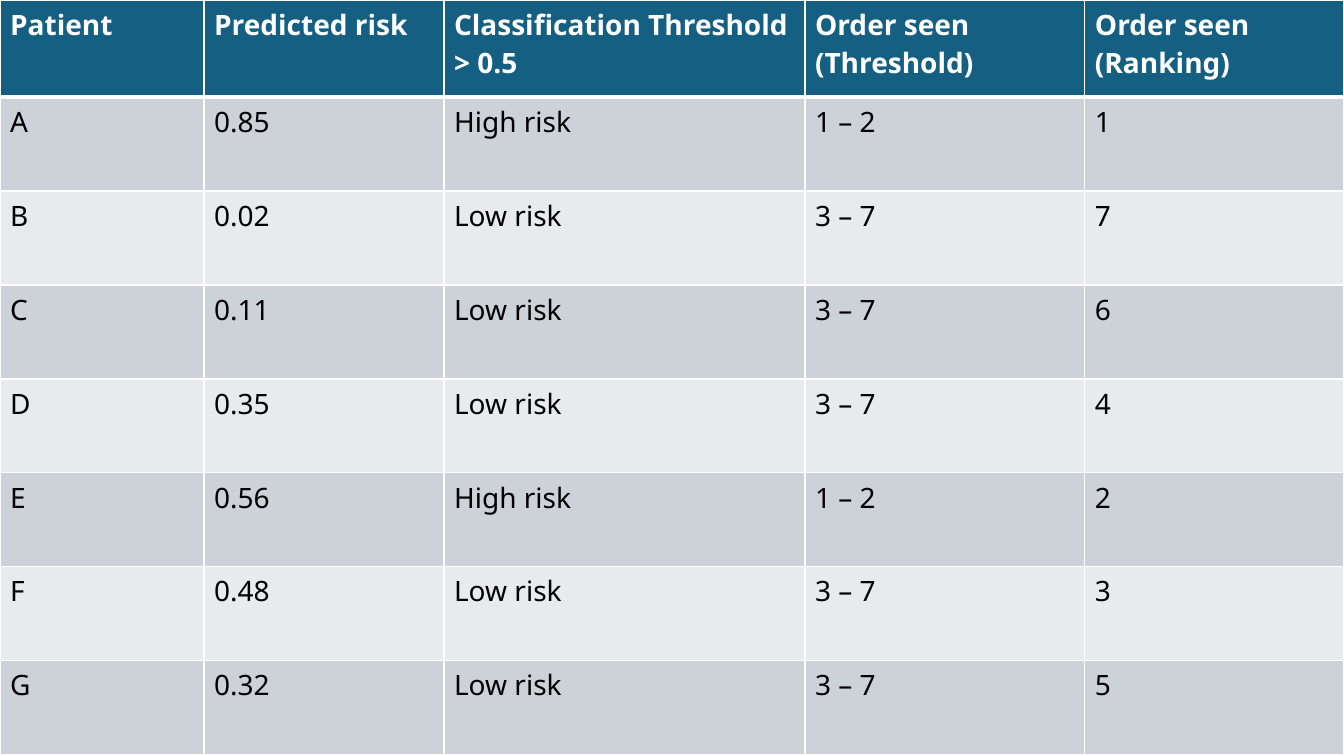
import dataclasses

import pptx
import pptx.dml.color
import pptx.oxml
import pptx.oxml.ns
import pptx.util

EMU_PER_PX = 914400 / 100.8
SLIDE_WIDTH, SLIDE_HEIGHT = 1344, 756
COLUMN_WIDTHS = [204, 240, 361, 280, 259]
HEADER_HEIGHT, BODY_HEIGHT = 97, 94

HEADINGS = [
    "Patient",
    "Predicted risk",
    "Classification Threshold > 0.5",
    "Order seen (Threshold)",
    "Order seen (Ranking)",
]
PATIENTS = [
    ("A", "0.85", "High risk", "1 – 2", "1"),
    ("B", "0.02", "Low risk", "3 – 7", "7"),
    ("C", "0.11", "Low risk", "3 – 7", "6"),
    ("D", "0.35", "Low risk", "3 – 7", "4"),
    ("E", "0.56", "High risk", "1 – 2", "2"),
    ("F", "0.48", "Low risk", "3 – 7", "3"),
    ("G", "0.32", "Low risk", "3 – 7", "5"),
]


@dataclasses.dataclass(frozen=True)
class Theme:
    font: str = "Noto Sans"
    text_size: int = 20
    header_fill: str = "156082"
    header_text: str = "FFFFFF"
    body_fills: tuple = ("CCD2D8", "E8EAED")
    body_text: str = "000000"
    border: str = "FFFFFF"
    thin_border: int = 1
    thick_border: int = 3


def px(length):
    return pptx.util.Emu(round(length * EMU_PER_PX))


def rgb(color):
    return pptx.dml.color.RGBColor.from_string(color)


def write_text(text_frame, text, *, font, size, color, bold=False):
    run = text_frame.paragraphs[0].add_run()
    run.text = text
    run.font.name = font
    run.font.size = pptx.util.Pt(size)
    run.font.bold = bold
    run.font.color.rgb = rgb(color)


class SlideBuilder:
    def __init__(self, slide, theme):
        self.slide = slide
        self.theme = theme

    def add_borders(self, cell, top, bottom):
        thin = self.theme.thin_border
        properties = cell._tc.get_or_add_tcPr()
        for side, width in (("L", thin), ("R", thin), ("T", top), ("B", bottom)):
            properties.append(pptx.oxml.parse_xml(
                f'<a:ln{side} {pptx.oxml.ns.nsdecls("a")} w="{pptx.util.Pt(width)}">'
                f'<a:solidFill><a:srgbClr val="{self.theme.border}"/></a:solidFill>'
                f'</a:ln{side}>'
            ))

    def style_cell(self, cell, text, row_index):
        theme = self.theme
        is_header = row_index == 0
        self.add_borders(
            cell,
            top=theme.thick_border if row_index == 1 else theme.thin_border,
            bottom=theme.thick_border if is_header else theme.thin_border,
        )
        cell.fill.solid()
        cell.fill.fore_color.rgb = rgb(
            theme.header_fill if is_header else theme.body_fills[(row_index - 1) % 2]
        )
        write_text(
            cell.text_frame,
            text,
            font=theme.font,
            size=theme.text_size,
            color=theme.header_text if is_header else theme.body_text,
            bold=is_header,
        )

    def add_table(self, rows, left, top, column_widths, row_heights):
        table = self.slide.shapes.add_table(
            len(rows), len(column_widths), px(left), px(top),
            px(sum(column_widths)), px(sum(row_heights)),
        ).table
        for column, width in zip(table.columns, column_widths):
            column.width = px(width)
        for row_index, (row, height) in enumerate(zip(table.rows, row_heights)):
            row.height = px(height)
            for cell, text in zip(row.cells, rows[row_index]):
                self.style_cell(cell, text, row_index)


def main():
    presentation = pptx.Presentation()
    presentation.slide_width = px(SLIDE_WIDTH)
    presentation.slide_height = px(SLIDE_HEIGHT)
    slide = presentation.slides.add_slide(presentation.slide_layouts[6])
    builder = SlideBuilder(slide, Theme())
    builder.add_table(
        [HEADINGS, *PATIENTS], 0, 0, COLUMN_WIDTHS,
        [HEADER_HEIGHT] + [BODY_HEIGHT] * len(PATIENTS),
    )
    presentation.save("out.pptx")


if __name__ == "__main__":
    main()
